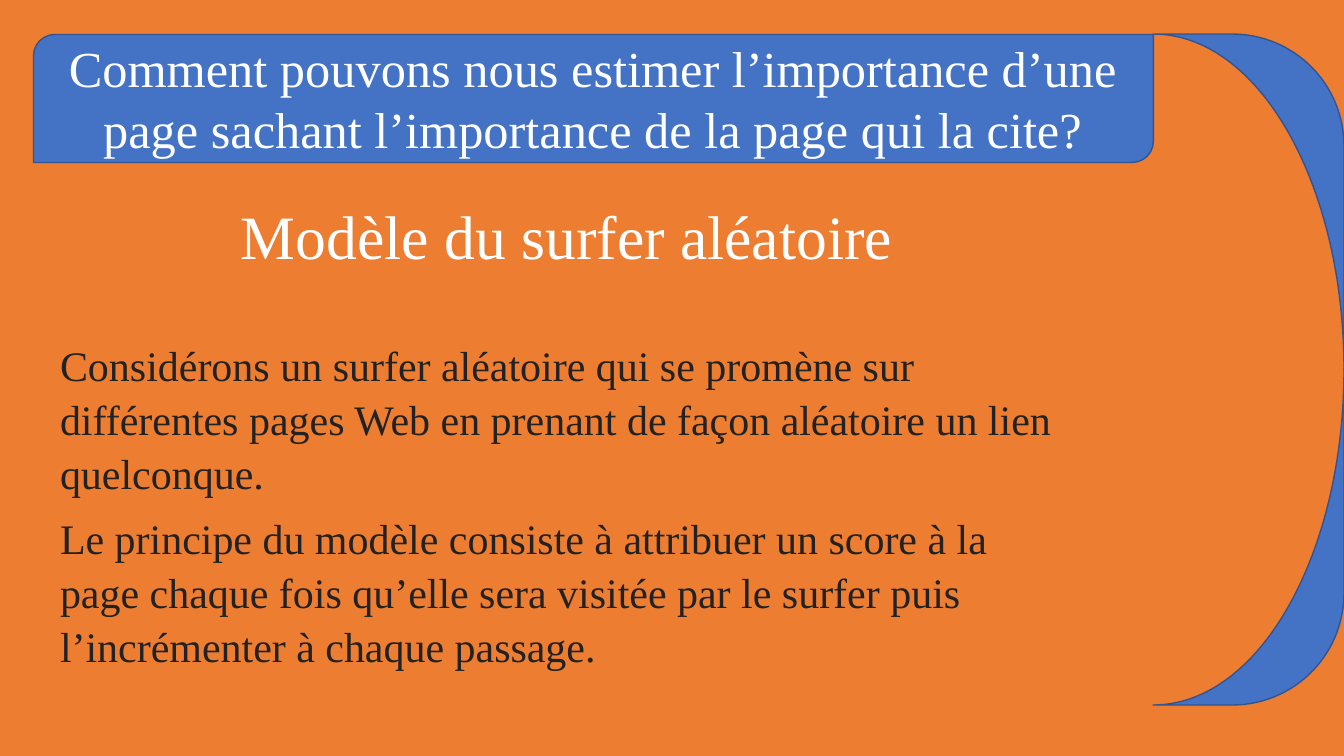
from pptx import Presentation, util as u
from pptx.dml.color import RGBColor
from pptx.enum import shapes, text
from pptx.oxml.ns import qn

SCALE = 12192000 / 1344
FONT = "Times New Roman"


def px(value):
    return u.Emu(round(value * SCALE))


def color(value):
    return RGBColor.from_string(value)


presentation = Presentation()
presentation.slide_width = px(1344)
presentation.slide_height = px(756)
slide = presentation.slides.add_slide(presentation.slide_layouts[1])
slide.background.fill.solid()
slide.background.fill.fore_color.rgb = color("ED7D31")
title, body = slide.placeholders

corners = [(0, 0), (79, 0), (191, 112), (191, 336)]
curves = {1: [(141, 0), (191, 50), (191, 112)], 3: [(191, 150), (106, 0), (0, 0)]}
blue_shapes = []
for mirrored, offset in ((False, 34), (True, 369)):
    points = [(x, 336 - y if mirrored else y) for x, y in corners]
    start = points[0]
    builder = slide.shapes.build_freeform(1153 + start[0], offset + start[1], scale=SCALE)
    builder.add_line_segments([(1153 + x, offset + y) for x, y in points[1:] + [start]], close=True)
    ribbon = builder.convert_to_shape()
    segments = list(ribbon._element.iter(qn("a:lnTo")))
    for index, controls in curves.items():
        curve = segments[index].makeelement(qn("a:cubicBezTo"), {})
        for x, y in controls:
            y = 336 - y if mirrored else y
            curve.append(curve.makeelement(qn("a:pt"), {"x": str(x), "y": str(y)}))
        segments[index].getparent().replace(segments[index], curve)
    blue_shapes.append(ribbon)
blue_shapes.append(slide.shapes.add_shape(
    shapes.MSO_SHAPE.ROUND_2_DIAG_RECTANGLE, px(33.5), px(34.5), px(1120), px(128)))

for shape in blue_shapes:
    shape.shadow.inherit = False
    shape.fill.solid()
    shape.fill.fore_color.rgb = color("4472C4")
    shape.line.color.rgb = color("325491")
    shape.line.width = u.Pt(1)
    title._element.addprevious(shape._element)

center, left = text.PP_ALIGN.CENTER, text.PP_ALIGN.LEFT
middle, top = text.MSO_ANCHOR.MIDDLE, text.MSO_ANCHOR.TOP
blocks = [
    (title, (33, 34, 1120, 128), (10, 5), middle, [
        ("Comment pouvons nous estimer l’importance d’une page sachant l’importance de la page qui la cite?",
         36, "FFFFFF", {"alignment": center, "line_spacing": 1.0, "space_after": u.Pt(0)}),
    ]),
    (body, (24, 167, 1086, 527), (36, 31), top, [
        ("Modèle du surfer aléatoire",
         44, "FFFFFF", {"alignment": center, "line_spacing": 1.0, "space_after": u.Pt(46)}),
        ("Considérons un surfer aléatoire qui se promène sur différentes pages Web en prenant de façon aléatoire un lien quelconque.",
         30, "222222", {"alignment": left, "line_spacing": 1.07, "space_after": u.Pt(8)}),
        ("Le principe du modèle consiste à attribuer un score à la page chaque fois qu’elle sera visitée par le surfer puis l’incrémenter à chaque passage.",
         30, "222222", {"alignment": left, "line_spacing": 1.07, "space_after": u.Pt(8)}),
    ]),
]

for placeholder, box, (side, edge), anchor, paragraphs in blocks:
    for name, value in zip(("left", "top", "width", "height"), box):
        setattr(placeholder, name, px(value))
    frame = placeholder.text_frame
    frame.text = "\n".join(words for words, *_ in paragraphs)
    frame_formats = {
        "auto_size": text.MSO_AUTO_SIZE.NONE, "word_wrap": True, "vertical_anchor": anchor,
        "margin_left": px(side), "margin_right": px(side),
        "margin_top": px(edge), "margin_bottom": px(5),
    }
    for name, value in frame_formats.items():
        setattr(frame, name, value)
    for paragraph, (_, size, fill, formats) in zip(frame.paragraphs, paragraphs):
        paragraph.space_before = u.Pt(0)
        for name, value in formats.items():
            setattr(paragraph, name, value)
        properties = paragraph._p.get_or_add_pPr()
        properties.set("marL", "0")
        properties.set("indent", "0")
        properties.append(properties.makeelement(qn("a:buNone"), {}))
        font = paragraph.runs[0].font
        for name, value in {"name": FONT, "size": u.Pt(size)}.items():
            setattr(font, name, value)
        font.color.rgb = color(fill)

presentation.save("out.pptx")
